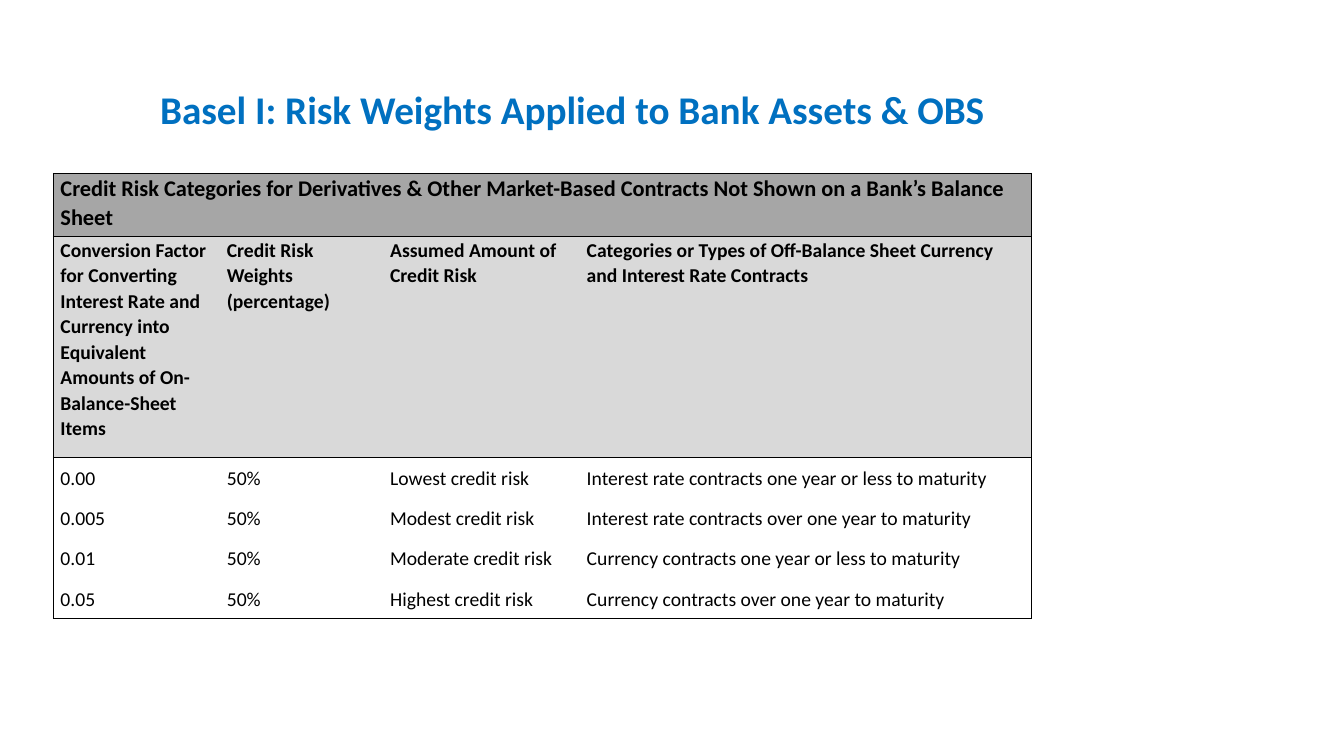
from dataclasses import dataclass

from lxml import etree
from pptx import Presentation
from pptx.dml.color import RGBColor
from pptx.enum.text import MSO_ANCHOR, PP_ALIGN
from pptx.oxml.ns import qn
from pptx.util import Inches, Pt

TOP, MIDDLE = MSO_ANCHOR.TOP, MSO_ANCHOR.MIDDLE
LEFT, JUSTIFY = PP_ALIGN.LEFT, PP_ALIGN.JUSTIFY

# Content
TITLE = "Basel I: Risk Weights Applied to Bank Assets & OBS"
BANNER = ("Credit Risk Categories for Derivatives & Other Market-Based Contracts "
          "Not Shown on a Bank’s Balance Sheet")
HEADINGS = (
    "Conversion Factor for Converting Interest Rate and Currency into "
    "Equivalent Amounts of On-Balance-Sheet Items",
    "Credit Risk Weights (percentage)",
    "Assumed Amount of Credit Risk",
    "Categories or Types of Off-Balance Sheet Currency and Interest Rate Contracts",
)
CONTRACTS = [
    ("0.00", "50%", "Lowest credit risk", "Interest rate contracts one year or less to maturity"),
    ("0.005", "50%", "Modest credit risk", "Interest rate contracts over one year to maturity"),
    ("0.01", "50%", "Moderate credit risk", "Currency contracts one year or less to maturity"),
    ("0.05", "50%", "Highest credit risk", "Currency contracts over one year to maturity"),
]


@dataclass(frozen=True)
class Theme:
    font: str = "Calibri"
    title_color: str = "0070C0"
    ink: str = "000000"
    banner_fill: str = "A6A6A6"
    heading_fill: str = "D9D9D9"
    body_fill: str = "FFFFFF"
    title_size: int = 28
    banner_size: int = 16
    body_size: int = 14
    border: int = 1


THEME = Theme()

# Layout in inches
SLIDE_SIZE = (13.33, 7.5)
TITLE_BOX = (1.49, 0.75, 11.5, 0.72)
TABLE_ORIGIN = (0.53, 1.72)
COLUMN_WIDTHS = (1.65, 1.62, 1.95, 4.48)
ROW_HEIGHTS = (0.63, 2.19) + (0.4,) * len(CONTRACTS)
CELL_MARGIN = 0.07


def style_paragraph(paragraph, size, color, bold, spacing, alignment=LEFT):
    paragraph.alignment = alignment
    paragraph.line_spacing = spacing
    font = paragraph.font
    font.name, font.size, font.bold = THEME.font, Pt(size), bold
    font.color.rgb = RGBColor.from_string(color)


def set_borders(cell, visible):
    """Draw the sides named in visible and clear the others."""
    properties = cell._tc.get_or_add_tcPr()
    for position, side in enumerate("LRTB"):
        line = etree.Element(qn(f"a:ln{side}"), w=str(Pt(THEME.border)))
        if side in visible:
            fill = etree.SubElement(line, qn("a:solidFill"))
            etree.SubElement(fill, qn("a:srgbClr"), val=THEME.ink)
        else:
            etree.SubElement(line, qn("a:noFill"))
        properties.insert(position, line)


def add_title(slide):
    frame = slide.shapes.add_textbox(*map(Inches, TITLE_BOX)).text_frame
    frame.word_wrap = True
    frame.vertical_anchor = MIDDLE
    frame.text = TITLE
    style_paragraph(frame.paragraphs[0], THEME.title_size, THEME.title_color, True, 0.9)


def add_risk_table(slide):
    rows = [(BANNER, "", "", ""), HEADINGS, *CONTRACTS]
    last_row, last_column = len(rows) - 1, len(HEADINGS) - 1
    size = (sum(COLUMN_WIDTHS), sum(ROW_HEIGHTS))
    table = slide.shapes.add_table(
        len(rows), len(HEADINGS), *map(Inches, TABLE_ORIGIN + size)).table
    table.first_row = table.horz_banding = False
    for column, width in zip(table.columns, COLUMN_WIDTHS):
        column.width = Inches(width)
    for row, height in zip(table.rows, ROW_HEIGHTS):
        row.height = Inches(height)
    table.cell(0, 0).merge(table.cell(0, last_column))

    fills = (THEME.banner_fill, THEME.heading_fill) + (THEME.body_fill,) * len(CONTRACTS)
    for r, texts in enumerate(rows):
        is_body = r >= 2
        for c, text in enumerate(texts):
            cell = table.cell(r, c)
            cell.fill.solid()
            cell.fill.fore_color.rgb = RGBColor.from_string(fills[r])
            cell.margin_left = cell.margin_right = Inches(CELL_MARGIN)
            cell.margin_top = cell.margin_bottom = 0
            cell.vertical_anchor = MIDDLE if is_body else TOP

            # Box around the table, with rules below the banner and headings
            sides = "L" if c == 0 else ""
            sides += "R" if r == 0 or c == last_column else ""
            sides += "T" if r <= 2 else ""
            sides += "B" if r in (0, 1, last_row) else ""
            set_borders(cell, sides)

            if cell.is_spanned:
                continue
            cell.text = text
            style_paragraph(
                cell.text_frame.paragraphs[0],
                THEME.banner_size if r == 0 else THEME.body_size,
                THEME.ink, not is_body, 1.07,
                JUSTIFY if is_body and c == last_column else LEFT)


def main():
    presentation = Presentation()
    presentation.slide_width, presentation.slide_height = map(Inches, SLIDE_SIZE)
    slide = presentation.slides.add_slide(presentation.slide_layouts[6])
    add_title(slide)
    add_risk_table(slide)
    presentation.save("out.pptx")


if __name__ == "__main__":
    main()
